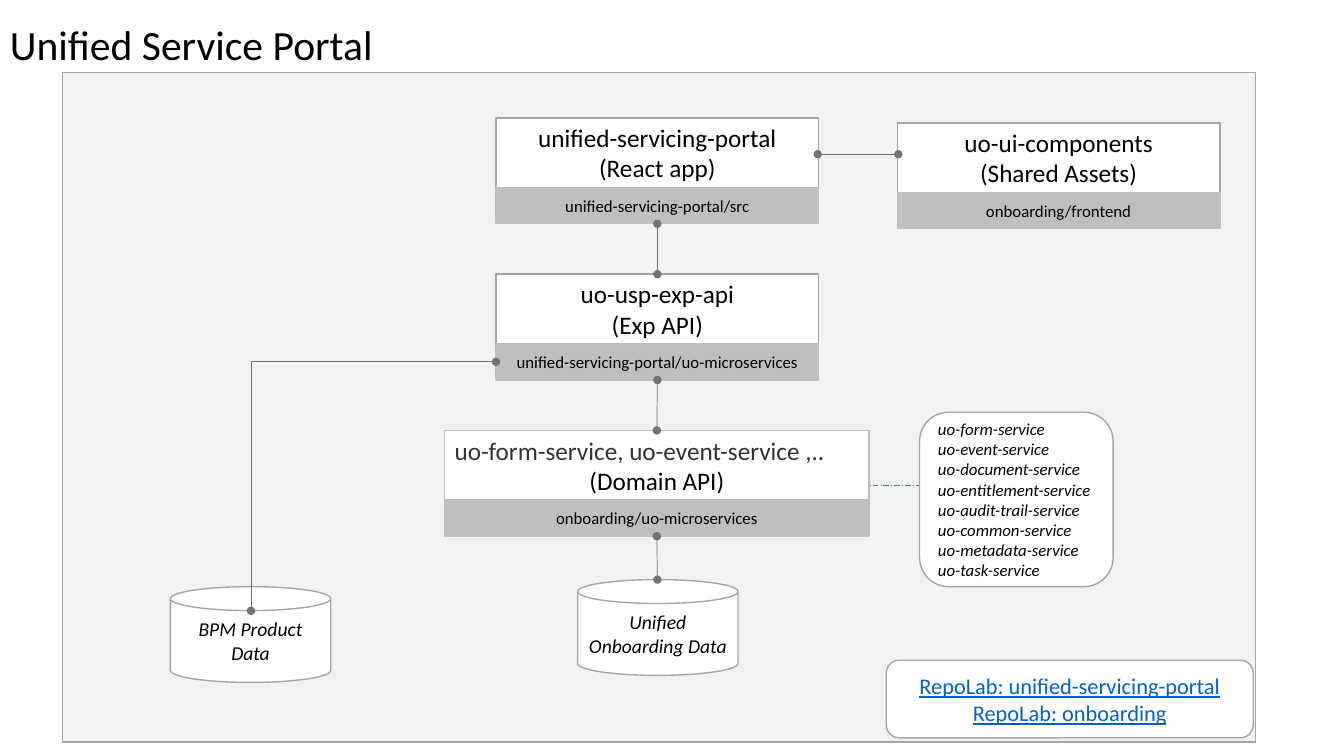
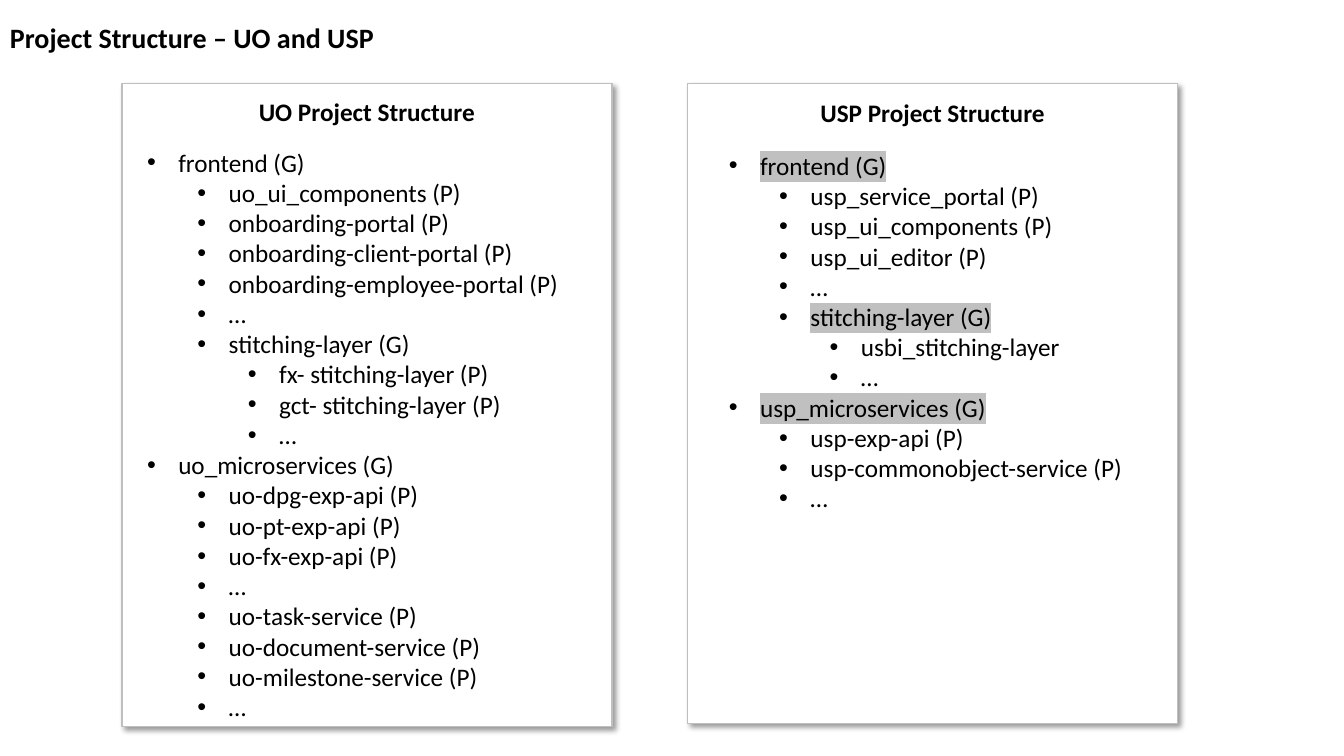
from lxml import etree
from pptx import Presentation
from pptx.dml.color import RGBColor
from pptx.enum.dml import MSO_LINE
from pptx.enum.shapes import MSO_CONNECTOR, MSO_SHAPE
from pptx.enum.text import MSO_ANCHOR, PP_ALIGN
from pptx.oxml.ns import qn
from pptx.util import Inches, Pt

RECTANGLE = MSO_SHAPE.RECTANGLE
ROUNDED = MSO_SHAPE.ROUNDED_RECTANGLE
CAN = MSO_SHAPE.CAN
STRAIGHT = MSO_CONNECTOR.STRAIGHT
ELBOW = MSO_CONNECTOR.ELBOW
LEFT = PP_ALIGN.LEFT
CENTER = PP_ALIGN.CENTER
MIDDLE = MSO_ANCHOR.MIDDLE
LONG_DASH_DOT = MSO_LINE.LONG_DASH_DOT
TOP, BOTTOM = 0, 2

THEME = {
    "font": "Calibri",
    "text": "000000", "soft_text": "333238", "link": "0563C1",
    "white": "FFFFFF", "canvas": "F2F2F2", "band": "BFBFBF",
    "outline": "A5A5A5", "wire": "767171", "note_wire": "4472C4",
    "highlight": "C0C0C0", "shadow": "000000",
    "main_title": 29.7, "title": 20, "body": 18, "links": 16, "data": 14, "small": 12,
}


def style_text(shape, size, alignment=LEFT, color="text", bold=False, italic=False, underline=False):
    shape.text_frame.word_wrap = True
    for paragraph in shape.text_frame.paragraphs:
        paragraph.alignment = alignment
        for run in paragraph.runs:
            font = run.font
            font.name, font.size = THEME["font"], Pt(THEME[size])
            font.bold, font.italic, font.underline = bold, italic, underline
            font.color.rgb = RGBColor.from_string(THEME[color])


def add_box(slide, kind, box, fill="white", line="outline", text=""):
    shape = slide.shapes.add_shape(kind, *map(Inches, box))
    shape.shadow.inherit = False
    shape.fill.solid()
    shape.fill.fore_color.rgb = RGBColor.from_string(THEME[fill])
    shape.line.color.rgb = RGBColor.from_string(THEME[line])
    shape.line.width = Pt(1)
    shape.text_frame.text = text
    shape.text_frame.vertical_anchor = MIDDLE
    return shape


presentation = Presentation()
presentation.slide_width, presentation.slide_height = Inches(13.33), Inches(7.5)
blank_layout = presentation.slide_layouts[6]

# Slides with their titles
slides = []
for title, top, width, height, size, bold, spacing in (
    ("Unified Service Portal", 0.27, 12, 0.51, "main_title", False, 0.7),
    ("Project Structure – UO and USP", 0.15, 13.33, 0.44, "title", True, 1.0),
):
    slide = presentation.slides.add_slide(blank_layout)
    title_box = slide.shapes.add_textbox(0, Inches(top), Inches(width), Inches(height))
    title_box.text_frame.text = title
    title_box.text_frame.paragraphs[0].line_spacing = spacing
    style_text(title_box, size, bold=bold)
    slides.append(slide)
architecture, structure = slides

# Architecture: canvas and the dashed line to the service list
add_box(architecture, RECTANGLE, (0.62, 0.72, 11.83, 6.64), "canvas")
note_line = architecture.shapes.add_connector(
    STRAIGHT, Inches(9.35), Inches(4.82), Inches(8.61), Inches(4.82))
note_line.line.color.rgb = RGBColor.from_string(THEME["note_wire"])
note_line.line.width = Pt(0.5)
note_line.line.dash_style = LONG_DASH_DOT
etree.SubElement(note_line._element.spPr, qn("a:effectLst"))

# Architecture: components, each a name above its repository folder
NAME_HEIGHT, FOLDER_HEIGHT = 0.69, 0.36
components = {}
for key, left, top, width, line, name, folder in (
    ("portal", 4.92, 1.17, 3.2, "outline", "unified-servicing-portal\n(React app)",
     "unified-servicing-portal/src"),
    ("experience", 4.92, 2.72, 3.2, "outline", "uo-usp-exp-api\n(Exp API)",
     "unified-servicing-portal/uo-microservices"),
    ("domain", 4.41, 4.27, 4.21, "band", "uo-form-service, uo-event-service ,..\n(Domain API)",
     "onboarding/uo-microservices"),
    ("shared", 8.9, 1.22, 3.2, "outline", "uo-ui-components\n(Shared Assets)",
     "onboarding/frontend"),
):
    name_box = add_box(architecture, RECTANGLE, (left, top, width, NAME_HEIGHT), line=line, text=name)
    style_text(name_box, "body", CENTER)
    folder_box = add_box(architecture, RECTANGLE, (left, top + NAME_HEIGHT, width, FOLDER_HEIGHT),
                         "band", "band", folder)
    style_text(folder_box, "small", CENTER)
    components[key] = (name_box, folder_box)

domain_list = components["domain"][0].text_frame.paragraphs[0]
domain_list.alignment = LEFT
domain_list.runs[0].font.color.rgb = RGBColor.from_string(THEME["soft_text"])

# Architecture: data stores, service list and repository links
for left, top, text in ((1.69, 5.82, "BPM Product Data"), (5.73, 5.75, "Unified Onboarding Data")):
    store = add_box(architecture, CAN, (left, top, 1.59, 0.95), text=text)
    style_text(store, "data", CENTER, italic=True)

services = ("form", "event", "document", "entitlement", "audit-trail", "common", "metadata", "task")
service_list = add_box(architecture, ROUNDED, (9.12, 4.09, 1.92, 1.73),
                       text="\n".join(f"uo-{service}-service" for service in services))
style_text(service_list, "small", italic=True)

repositories = add_box(architecture, ROUNDED, (8.79, 6.55, 3.64, 0.77),
                       text="RepoLab: unified-servicing-portal\nRepoLab: onboarding")
style_text(repositories, "links", CENTER, "link", underline=True)

# Architecture: connectors with round ends
for kind, points, upper, lower in (
    (STRAIGHT, (6.52, 2.22, 6.52, 2.72), "portal", "experience"),
    (STRAIGHT, (6.52, 3.77, 6.52, 4.27), "experience", "domain"),
    (STRAIGHT, (6.52, 5.32, 6.52, 5.75), "domain", None),
    (STRAIGHT, (8.11, 1.53, 8.91, 1.53), None, None),
    (ELBOW, (4.92, 3.59, 2.49, 6.06), None, None),
):
    connector = architecture.shapes.add_connector(kind, *map(Inches, points))
    if upper:
        connector.begin_connect(components[upper][1], BOTTOM)
    if lower:
        connector.end_connect(components[lower][0], TOP)
    connector.line.color.rgb = RGBColor.from_string(THEME["wire"])
    connector.line.width = Pt(0.5)
    properties = connector._element.spPr
    if kind == ELBOW:
        properties.find(qn("a:prstGeom")).set("prst", "bentConnector2")
    for end in ("a:headEnd", "a:tailEnd"):
        etree.SubElement(properties.find(qn("a:ln")), qn(end), type="oval")
    etree.SubElement(properties, qn("a:effectLst"))

# Structure: (indent level, entry) for each project
uo_tree = (
    (0, "frontend (G)"), (1, "uo_ui_components (P)"), (1, "onboarding-portal (P)"),
    (1, "onboarding-client-portal (P)"), (1, "onboarding-employee-portal (P)"), (1, "…"),
    (1, "stitching-layer (G)"), (2, "fx- stitching-layer (P)"), (2, "gct- stitching-layer (P)"),
    (2, "…"), (0, "uo_microservices (G)"), (1, "uo-dpg-exp-api (P)"), (1, "uo-pt-exp-api (P)"),
    (1, "uo-fx-exp-api (P)"), (1, "…"), (1, "uo-task-service (P)"),
    (1, "uo-document-service (P)"), (1, "uo-milestone-service (P)"), (1, "…"),
)
usp_tree = (
    (0, "frontend (G)"), (1, "usp_service_portal (P)"), (1, "usp_ui_components (P)"),
    (1, "usp_ui_editor (P)"), (1, "…"), (1, "stitching-layer (G)"), (2, "usbi_stitching-layer"),
    (2, "…"), (0, "usp_microservices (G)"), (1, "usp-exp-api (P)"),
    (1, "usp-commonobject-service (P)"), (1, "…"),
)

# Structure: one shadowed panel per project, with heading and bulleted tree
HANGING, LEVEL_STEP = 0.31, 0.5
for heading, left, height, heading_top, tree_box, tree, highlight_groups in (
    ("UO Project Structure", 1.21, 6.38, 0.91, (1.36, 1.41, 4.58, 5.86), uo_tree, False),
    ("USP Project Structure", 6.82, 6.35, 0.92, (7.13, 1.44, 4.31, 4.34), usp_tree, True),
):
    panel = add_box(structure, RECTANGLE, (left, 0.83, 4.86, height), line="band")
    effects = panel._element.spPr.find(qn("a:effectLst"))
    shadow = etree.SubElement(effects, qn("a:outerShdw"), blurRad=str(Pt(4)), dist=str(Pt(3)),
                              dir="2700000", algn="tl", rotWithShape="0")
    shadow_color = etree.SubElement(shadow, qn("a:srgbClr"), val=THEME["shadow"])
    etree.SubElement(shadow_color, qn("a:alpha"), val="40000")

    heading_box = structure.shapes.add_textbox(
        *map(Inches, (left, heading_top, 4.86, 0.4)))
    heading_box.text_frame.text = heading
    style_text(heading_box, "body", CENTER, bold=True)

    tree_shape = structure.shapes.add_textbox(*map(Inches, tree_box))
    tree_shape.text_frame.text = "\n".join(entry for _, entry in tree)
    for paragraph, (level, _) in zip(tree_shape.text_frame.paragraphs, tree):
        paragraph.level = level
        paragraph_properties = paragraph._p.get_or_add_pPr()
        paragraph_properties.set("marL", str(Inches(HANGING + level * LEVEL_STEP)))
        paragraph_properties.set("indent", str(-Inches(HANGING)))
        etree.SubElement(paragraph_properties, qn("a:buFont"), typeface="Arial")
        etree.SubElement(paragraph_properties, qn("a:buChar"), char="•")
    style_text(tree_shape, "body")

    if highlight_groups:
        for paragraph in tree_shape.text_frame.paragraphs:
            if paragraph.text.endswith("(G)"):
                highlight = etree.Element(qn("a:highlight"))
                etree.SubElement(highlight, qn("a:srgbClr"), val=THEME["highlight"])
                run_properties = paragraph.runs[0]._r.get_or_add_rPr()
                run_properties.find(qn("a:latin")).addprevious(highlight)

presentation.save("out.pptx")
